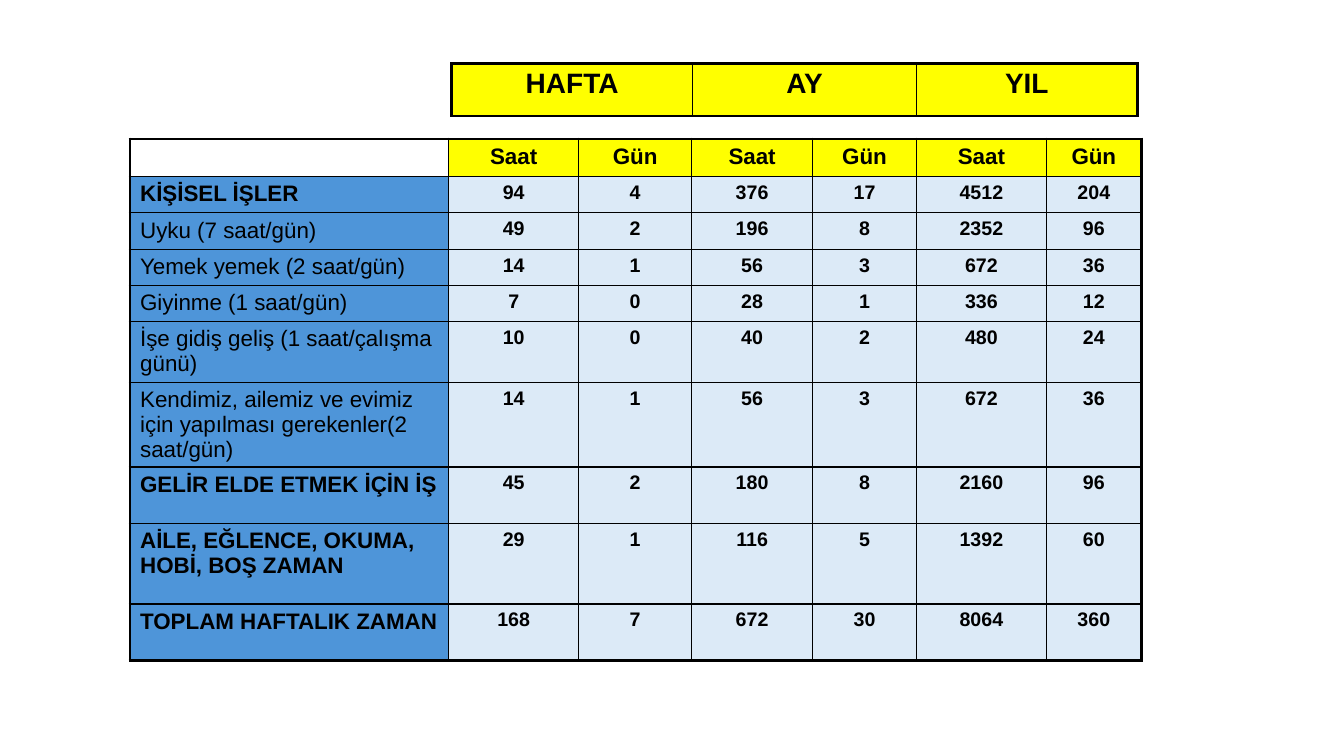
from lxml import etree
from pptx import Presentation
from pptx.dml.color import RGBColor
from pptx.enum.text import PP_ALIGN
from pptx.oxml.ns import qn
from pptx.util import Inches, Pt

CENTER, LEFT = PP_ALIGN.CENTER, PP_ALIGN.LEFT
BLACK = RGBColor(0x00, 0x00, 0x00)
YELLOW = RGBColor(0xFF, 0xFF, 0x00)
BLUE = RGBColor(0x4E, 0x95, 0xD9)
PALE = RGBColor(0xDC, 0xEA, 0xF7)
THIN, THICK = 1, 2.25

prs = Presentation()
prs.slide_width, prs.slide_height = Inches(13.33), Inches(7.5)
s = prs.slides.add_slide(prs.slide_layouts[6])


def add_grid(left, top, col_widths, row_heights):
    """Add an unbanded table with thin inner and thick outer borders."""
    rows, cols = len(row_heights), len(col_widths)
    table = s.shapes.add_table(rows, cols, Inches(left), Inches(top),
                               Inches(sum(col_widths)), Inches(sum(row_heights))).table
    table.first_row = table.horz_banding = False
    for col, width in zip(table.columns, col_widths):
        col.width = Inches(width)
    for row, height in zip(table.rows, row_heights):
        row.height = Inches(height)
    for i in range(rows):
        for j in range(cols):
            tcPr = table.cell(i, j)._tc.get_or_add_tcPr()
            edges = {"L": j == 0, "R": j == cols - 1, "T": i == 0, "B": i == rows - 1}
            for side, outer in edges.items():
                ln = etree.SubElement(tcPr, qn("a:ln" + side),
                                      w=str(Pt(THICK if outer else THIN)))
                fill = etree.SubElement(ln, qn("a:solidFill"))
                etree.SubElement(fill, qn("a:srgbClr"), val=str(BLACK))
    return table


def write(cell, text, size=16, bold=True, align=CENTER, fill=None):
    if fill is None:
        cell.fill.background()
    else:
        cell.fill.solid()
        cell.fill.fore_color.rgb = fill
    p = cell.text_frame.paragraphs[0]
    p.alignment = align
    p.font.size = Pt(size)
    if text:
        r = p.add_run()
        r.text = text
        r.font.name, r.font.size, r.font.bold = "Arial", Pt(size), bold
        r.font.color.rgb = BLACK


# Hours and days per activity: label, bold label, values
activities = [
    ("KİŞİSEL İŞLER", True, (94, 4, 376, 17, 4512, 204)),
    ("Uyku (7 saat/gün)", False, (49, 2, 196, 8, 2352, 96)),
    ("Yemek yemek (2 saat/gün)", False, (14, 1, 56, 3, 672, 36)),
    ("Giyinme (1 saat/gün)", False, (7, 0, 28, 1, 336, 12)),
    ("İşe gidiş geliş (1 saat/çalışma günü)", False, (10, 0, 40, 2, 480, 24)),
    ("Kendimiz, ailemiz ve evimiz için yapılması gerekenler(2 saat/gün)", False,
     (14, 1, 56, 3, 672, 36)),
    ("GELİR ELDE ETMEK İÇİN İŞ", True, (45, 2, 180, 8, 2160, 96)),
    ("AİLE, EĞLENCE, OKUMA, HOBİ, BOŞ ZAMAN", True, (29, 1, 116, 5, 1392, 60)),
    ("TOPLAM HAFTALIK ZAMAN", True, (168, 7, 672, 30, 8064, 360)),
]

# Main table
hours = add_grid(1.29, 1.38, [3.16, 1.29, 1.12, 1.2, 1.03, 1.29, 0.94],
                 [0.35] + [0.36] * 4 + [0.6, 0.84, 0.56, 0.8, 0.56])
write(hours.cell(0, 0), "")
for j, unit in enumerate(["Saat", "Gün"] * 3, 1):
    write(hours.cell(0, j), unit, fill=YELLOW)
for i, (label, bold, values) in enumerate(activities, 1):
    write(hours.cell(i, 0), label, bold=bold, align=LEFT, fill=BLUE)
    for j, value in enumerate(values, 1):
        write(hours.cell(i, j), str(value), size=14, fill=PALE)

# Period header above the main table
periods = add_grid(4.48, 0.63, [2.39, 2.22, 2.19], [0.52])
for j, period in enumerate(["HAFTA", "AY", "YIL"]):
    write(periods.cell(0, j), period, size=20, fill=YELLOW)

prs.save("out.pptx")
